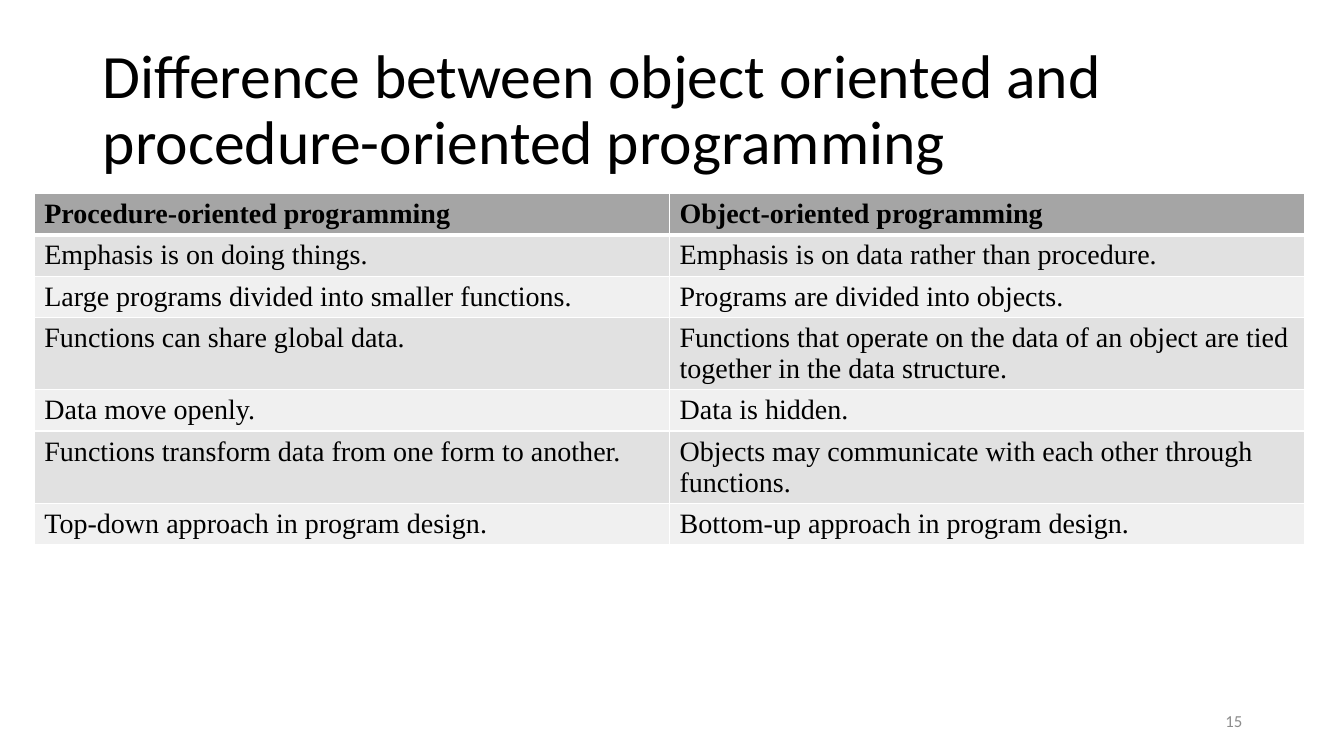
from lxml import etree
from pptx import Presentation, util as u
from pptx.dml.color import RGBColor
from pptx.enum import text
from pptx.oxml.ns import qn

# Content
TITLE = "Difference between object oriented and procedure-oriented programming"
PAGE_NUMBER = "15"
COMPARISON = [
    ("Procedure-oriented programming", "Object-oriented programming"),
    ("Emphasis is on doing things.", "Emphasis is on data rather than procedure."),
    ("Large programs divided into smaller functions.", "Programs are divided into objects."),
    ("Functions can share global data.",
     "Functions that operate on the data of an object are tied together in the data structure."),
    ("Data move openly.", "Data is hidden."),
    ("Functions transform data from one form to another.",
     "Objects may communicate with each other through functions."),
    ("Top-down approach in program design.", "Bottom-up approach in program design."),
]

# Layout and formats
WIDTH, HEIGHT = 13.33, 7.5
TITLE_BOX = (0.92, 0.38, 11.5, 1.45)
NUMBER_BOX = (9.42, 6.95, 3, 0.4)
TABLE_LEFT, TABLE_TOP, COLUMN_WIDTH = 0.34, 1.92, 6.3
LINE_HEIGHTS = {1: 0.41, 2: 0.71}
LINE_CAPACITY = 52
THIN, THICK = 1, 3
COLORS = {"black": "000000", "number": "8C8C8C", "border": "FFFFFF",
          "header": "A5A5A5", "odd": "E1E1E1", "even": "F0F0F0"}
TITLE_FONT = {"name": "Calibri", "size": u.Pt(44), "bold": False}
NUMBER_FONT = {"name": "Calibri", "size": u.Pt(12)}
CELL_FONT = {"name": "Times New Roman", "size": u.Pt(20)}


def inches(box):
    return [u.Inches(length) for length in box]


def write(frame, content, font, color, **paragraph_format):
    frame.text = content
    paragraph = frame.paragraphs[0]
    for name, value in paragraph_format.items():
        setattr(paragraph, name, value)
    run_font = paragraph.runs[0].font
    for name, value in font.items():
        setattr(run_font, name, value)
    run_font.color.rgb = RGBColor.from_string(COLORS[color])


def set_borders(cell, widths):
    properties = cell._tc.get_or_add_tcPr()
    for index, (side, width) in enumerate(widths.items()):
        line = etree.Element(qn(f"a:ln{side}"), w=str(u.Pt(width)))
        fill = etree.SubElement(line, qn("a:solidFill"))
        etree.SubElement(fill, qn("a:srgbClr"), val=COLORS["border"])
        properties.insert(index, line)


def add_comparison(slide):
    heights = [LINE_HEIGHTS[2 if max(map(len, row)) > LINE_CAPACITY else 1] for row in COMPARISON]
    columns = len(COMPARISON[0])
    box = inches((TABLE_LEFT, TABLE_TOP, columns * COLUMN_WIDTH, sum(heights)))
    table = slide.shapes.add_table(len(COMPARISON), columns, *box).table
    for column in table.columns:
        column.width = u.Inches(COLUMN_WIDTH)
    for index, (contents, height) in enumerate(zip(COMPARISON, heights)):
        table.rows[index].height = u.Inches(height)
        shade = "header" if index == 0 else "odd" if index % 2 else "even"
        borders = {"L": THIN, "R": THIN,
                   "T": THICK if index == 1 else THIN,
                   "B": THICK if index == 0 else THIN}
        for cell, content in zip(table.rows[index].cells, contents):
            write(cell.text_frame, content, {**CELL_FONT, "bold": index == 0}, "black")
            cell.fill.solid()
            cell.fill.fore_color.rgb = RGBColor.from_string(COLORS[shade])
            set_borders(cell, borders)


def main():
    presentation = Presentation()
    presentation.slide_width, presentation.slide_height = inches((WIDTH, HEIGHT))
    slide = presentation.slides.add_slide(presentation.slide_layouts[5])

    # Title
    title = slide.shapes.title
    title.left, title.top, title.width, title.height = inches(TITLE_BOX)
    title.text_frame.vertical_anchor = text.MSO_ANCHOR.MIDDLE
    write(title.text_frame, TITLE, TITLE_FONT, "black",
          alignment=text.PP_ALIGN.LEFT, line_spacing=0.9)

    # Comparison table
    add_comparison(slide)

    # Page number
    number = slide.shapes.add_textbox(*inches(NUMBER_BOX)).text_frame
    number.word_wrap = True
    number.vertical_anchor = text.MSO_ANCHOR.MIDDLE
    write(number, PAGE_NUMBER, NUMBER_FONT, "number", alignment=text.PP_ALIGN.RIGHT)

    presentation.save("out.pptx")


if __name__ == "__main__":
    main()
